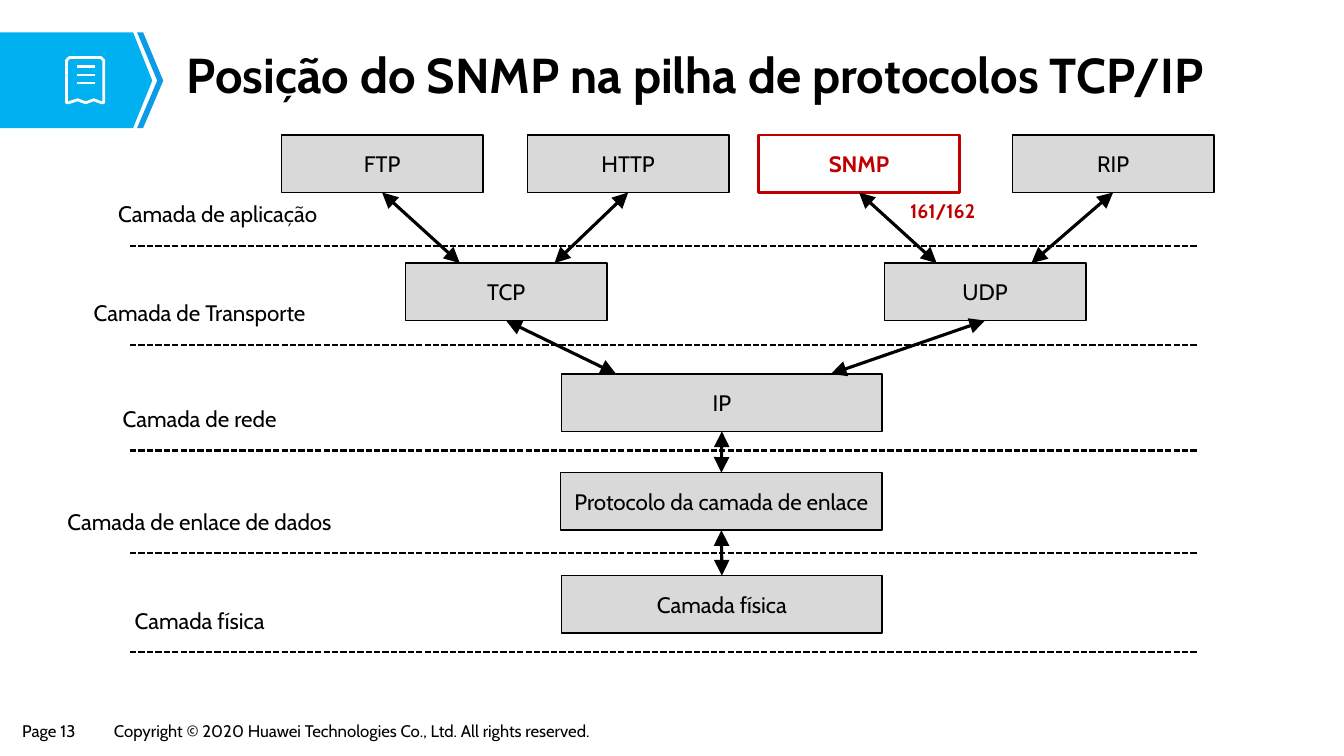
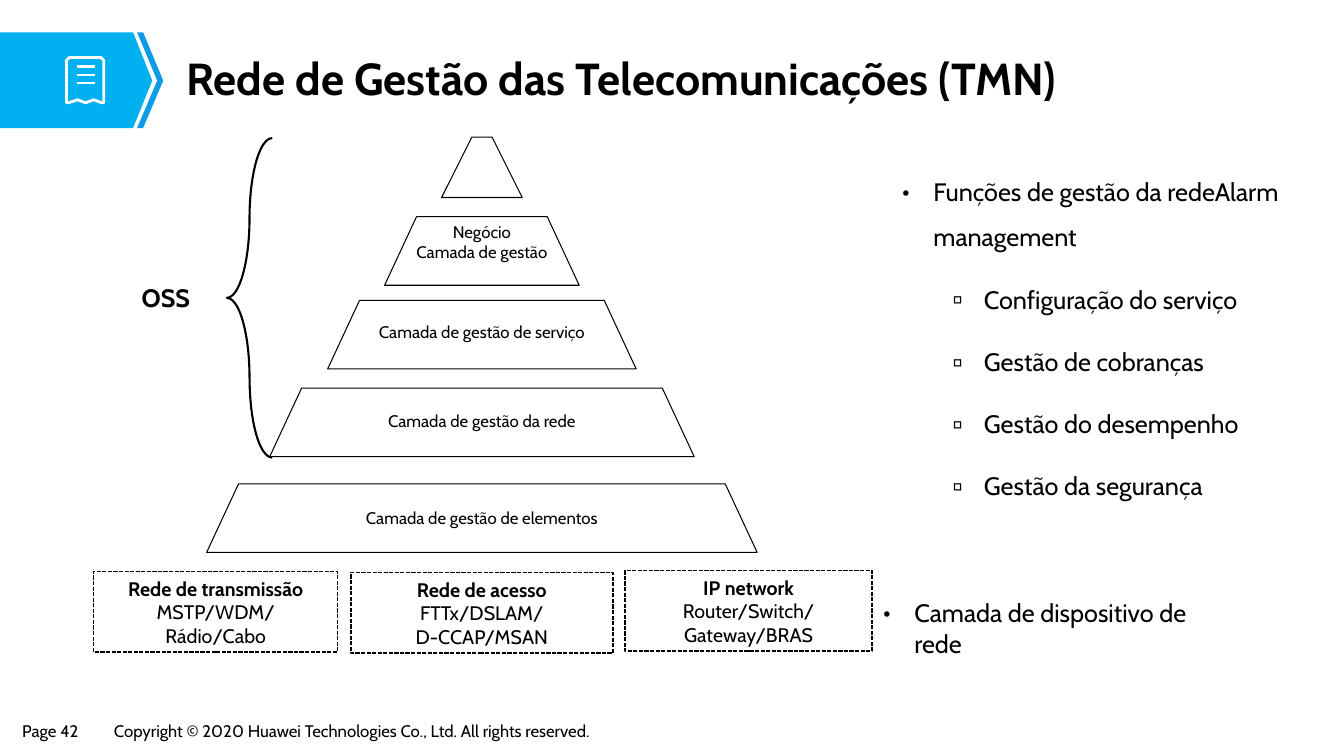
from lxml.etree import SubElement as Sub
from pptx import Presentation
from pptx.dml.color import RGBColor as RGB
from pptx.enum.dml import MSO_LINE as Dash
from pptx.enum.shapes import MSO_CONNECTOR as Conn, MSO_SHAPE as Kind
from pptx.enum.text import MSO_ANCHOR as Anchor, PP_ALIGN as Align
from pptx.oxml.ns import qn
from pptx.util import Inches, Pt

FONT = "Cabin"
HUE = {"ink": "000000", "paper": "FFFFFF", "gray": "D9D9D9",
       "red": "C00000", "band": "00B0F0", "edge": "0B9CE5"}
COPY = "Copyright © 2020 Huawei Technologies Co., Ltd. All rights reserved."


def hue(name):
    return RGB.from_string(HUE[name])


def write(shape, *lines, size=16, bold=0, color="ink", align=Align.CENTER,
          anchor=Anchor.MIDDLE, inset=(0.1, 0.05), space=None, gap=0, marks=None):
    """Fill a shape with paragraphs; the first `bold` of them are bold.

    marks holds one (bullet, left margin) pair for each paragraph.
    """
    frame = shape.text_frame
    frame.word_wrap = True
    frame.vertical_anchor = anchor
    frame.margin_left = frame.margin_right = Inches(inset[0])
    frame.margin_top = frame.margin_bottom = Inches(inset[1])
    for i, line in enumerate(lines):
        par = frame.paragraphs[0] if i == 0 else frame.add_paragraph()
        if marks:
            sign, left = marks[i]
            props = par._p.get_or_add_pPr()
            props.set("marL", str(Inches(left)))
            props.set("indent", str(Inches(-0.31)))
            Sub(props, qn("a:buFont")).set("typeface", FONT)
            Sub(props, qn("a:buChar")).set("char", sign)
        par.alignment = align
        if space:
            par.line_spacing = space
        if gap:
            par.space_after = Pt(gap)
            if i:
                par.space_before = Pt(gap)
        run = par.add_run()
        run.text = line
        font = run.font
        font.name, font.size, font.bold = FONT, Pt(size), i < bold
        font.color.rgb = hue(color)
    return shape


def label(slide, x, y, w, h, *lines, **form):
    box = slide.shapes.add_textbox(Inches(x), Inches(y), Inches(w), Inches(h))
    return write(box, *lines, **form)


def paint(shape, fill=None, line=None, width=1, dash=None):
    shape.shadow.inherit = False
    if fill:
        shape.fill.solid()
        shape.fill.fore_color.rgb = hue(fill)
    else:
        shape.fill.background()
    if line:
        shape.line.color.rgb = hue(line)
        shape.line.width = Pt(width)
        if dash:
            shape.line.dash_style = dash
    else:
        shape.line.fill.background()
    return shape


def block(slide, kind, x, y, w, h, adjust=(), **look):
    shape = slide.shapes.add_shape(kind, Inches(x), Inches(y), Inches(w), Inches(h))
    for i, value in enumerate(adjust):
        shape.adjustments[i] = value
    return paint(shape, **look)


def outline(slide, x, y, dots, **look):
    first, *rest = [(Inches(x + dx), Inches(y + dy)) for dx, dy in dots]
    form = slide.shapes.build_freeform(*first, scale=1.0)
    form.add_line_segments(rest, close=True)
    return paint(form.convert_to_shape(), **look)


def rule(slide, x1, y1, x2, y2, width=1.5, color="ink", dash=None, heads=False):
    line = slide.shapes.add_connector(
        Conn.STRAIGHT, Inches(x1), Inches(y1), Inches(x2), Inches(y2))
    line.line.color.rgb = hue(color)
    line.line.width = Pt(width)
    if dash:
        line.line.dash_style = dash
    props = line._element.spPr
    if heads:
        for end in ("a:headEnd", "a:tailEnd"):
            tip = Sub(props.find(qn("a:ln")), qn(end))
            for key, value in (("type", "triangle"), ("w", "lg"), ("len", "lg")):
                tip.set(key, value)
    Sub(props, qn("a:effectLst"))
    return line


def link(slide, top, low, part=0.5):
    """Arrow from the bottom of one box to a part of the other's top side."""
    x1, y1 = (top.left + top.width / 2) / Inches(1), (top.top + top.height) / Inches(1)
    x2, y2 = (low.left + low.width * part) / Inches(1), low.top / Inches(1)
    line = rule(slide, x1, y1, x2, y2, width=2.25, heads=True)
    line.begin_connect(top, 2)
    if part == 0.5:
        line.end_connect(low, 0)


def badge(slide, x, y):
    outline(slide, x, y, [(0, 0), (1.32, 0), (1.51, 0.48), (1.32, 0.95), (0, 0.95)],
            fill="band")
    outline(slide, x + 1.36, y, [(0, 0), (0.06, 0), (0.26, 0.48), (0.06, 0.95),
                                 (0, 0.95), (0.2, 0.48)], fill="edge")
    outline(slide, x + 0.66, y + 0.25,
            [(0.03, 0), (0.34, 0), (0.37, 0.03), (0.37, 0.45), (0.35, 0.45),
             (0.27, 0.42), (0.19, 0.45), (0.11, 0.42), (0.02, 0.45), (0, 0.45),
             (0, 0.03)], line="paper", width=2)
    for i in range(3):
        bar = y + 0.34 + 0.08 * i
        rule(slide, x + 0.76, bar, x + 0.94, bar, color="paper")


def start(deck, title, page, size, anchor):
    """Add a slide with what all slides share."""
    slide = deck.slides.add_slide(deck.slide_layouts[6])
    for x, w, text in ((0.13, 0.81, f"Page {page}"), (1.04, 5.41, COPY)):
        label(slide, x, 7.11, w, 0.29, text, size=12, align=Align.LEFT,
              anchor=Anchor.TOP, inset=(0.09, 0.04))
    badge(slide, 0, 0.32)
    label(slide, 1.74, 0.45, 11.24, 0.7, title, size=size, bold=1, align=Align.LEFT,
          anchor=anchor, inset=(0.11, 0.06), space=0.9)
    return slide


def layers(slide, x, y, w):
    """Dashed layer lines, each with its name above it."""
    rows = (("Camada de aplicação", 0, 0.87), ("Camada de Transporte", 0.98, 0.69),
            ("Camada de rede", 2.03, 0.69), ("Camada de enlace de dados", 3.05, 0.69),
            ("Camada física", 4.03, 0.69))
    for name, dy, mid in rows:
        rule(slide, x, y + dy, x + w, y + dy, dash=Dash.SQUARE_DOT)
        label(slide, x + mid - 1.5, y + dy - 0.5, 3, 0.38, name, anchor=Anchor.TOP)


def stack(slide, x, y):
    spots = {"FTP": (0, 0, 2), "HTTP": (2.44, 0, 2), "SNMP": (4.73, 0, 2),
             "RIP": (7.25, 0, 2), "TCP": (1.23, 1.27, 2), "UDP": (5.98, 1.27, 2),
             "IP": (2.78, 2.37, 3.18),
             "Protocolo da camada de enlace": (2.77, 3.35, 3.19),
             "Camada física": (2.78, 4.37, 3.18)}
    box = {}
    for name, (dx, dy, w) in spots.items():
        hot = name == "SNMP"
        look = dict(line="red", width=2) if hot else dict(fill="gray", line="ink")
        box[name] = write(block(slide, Kind.RECTANGLE, x + dx, y + dy, w, 0.57, **look),
                          name, bold=int(hot), color="red" if hot else "ink")
    ip, data, wire = list(box)[-3:]
    for top, low, part in (("FTP", "TCP", 0.27), ("HTTP", "TCP", 0.74),
                           ("SNMP", "UDP", 0.26), ("RIP", "UDP", 0.73),
                           ("TCP", ip, 0.17), ("UDP", ip, 0.84),
                           (ip, data, 0.5), (data, wire, 0.5)):
        link(slide, box[top], box[low], part)
    label(slide, x + 6.08, y + 0.58, 0.96, 0.36, "161/162", size=14, bold=1,
          color="red", anchor=Anchor.TOP)


def pyramid(slide, mid, y):
    tiers = ((0, 0.8, 0.6, 0.5, 0, ()),
             (0.79, 1.93, 0.68, 0.465, 0, ("Negócio", "Camada de gestão")),
             (1.62, 3.06, 0.68, 0.465, 0.16, ("Camada de gestão de serviço",)),
             (2.49, 4.21, 0.68, 0.465, 0.18, ("Camada de gestão da rede",)),
             (3.44, 5.46, 0.68, 0.465, 0.19, ("Camada de gestão de elementos",)))
    for dy, w, h, slope, drop, lines in tiers:
        block(slide, Kind.TRAPEZOID, mid - w / 2, y + dy, w, h, (slope,),
              line="ink", width=0.75)
        if lines:
            label(slide, mid - 1.5, y + dy + drop, 3, 0.31, *lines, size=12,
                  anchor=Anchor.TOP)


def brace(slide, x, y):
    label(slide, x, y + 1.35, 1.33, 0.46, "OSS", size=18, bold=1)
    block(slide, Kind.LEFT_BRACE, x + 1.27, y, 0.45, 3.17, (1.984, 0.5),
          line="ink", width=1.5)


def nets(slide, x, y):
    cells = ((0, 0, 2.42, "Rede de transmissão", "MSTP/WDM/", "Rádio/Cabo"),
             (2.55, 0.01, 2.6, "Rede de acesso", "FTTx/DSLAM/", "D-CCAP/MSAN"),
             (5.27, -0.01, 2.45, "IP network", "Router/Switch/", "Gateway/BRAS"))
    for dx, dy, w, *lines in cells:
        cell = block(slide, Kind.RECTANGLE, x + dx, y + dy, w, 0.8, line="ink",
                     dash=Dash.SQUARE_DOT)
        write(cell, *lines, size=14, bold=1)


def notes(slide, x, y):
    items = ("Funções de gestão da redeAlarm management", "Configuração do serviço",
             "Gestão de cobranças", "Gestão do desempenho", "Gestão da segurança")
    label(slide, x, y, 4.11, 3.67, *items, size=18, align=Align.LEFT,
          anchor=Anchor.TOP, space=1.5, gap=6,
          marks=[("•", 0.31)] + [("▫", 0.81)] * 4)
    label(slide, x - 0.19, y + 4.45, 3.35, 0.46, "Camada de dispositivo de rede",
          size=18, align=Align.LEFT, marks=[("•", 0.31)])


def main():
    deck = Presentation()
    deck.slide_width, deck.slide_height = Inches(13.33), Inches(7.5)

    slide = start(deck, "Posição do SNMP na pilha de protocolos TCP/IP", 13, 35,
                  Anchor.TOP)
    layers(slide, 1.29, 2.44, 10.59)
    stack(slide, 2.79, 1.34)

    slide = start(deck, "Rede de Gestão das Telecomunicações (TMN)", 42, 32,
                  Anchor.MIDDLE)
    pyramid(slide, 4.78, 1.36)
    brace(slide, 0.98, 1.37)
    nets(slide, 0.93, 5.67)
    notes(slide, 8.85, 1.55)

    deck.save("out.pptx")


if __name__ == "__main__":
    main()
